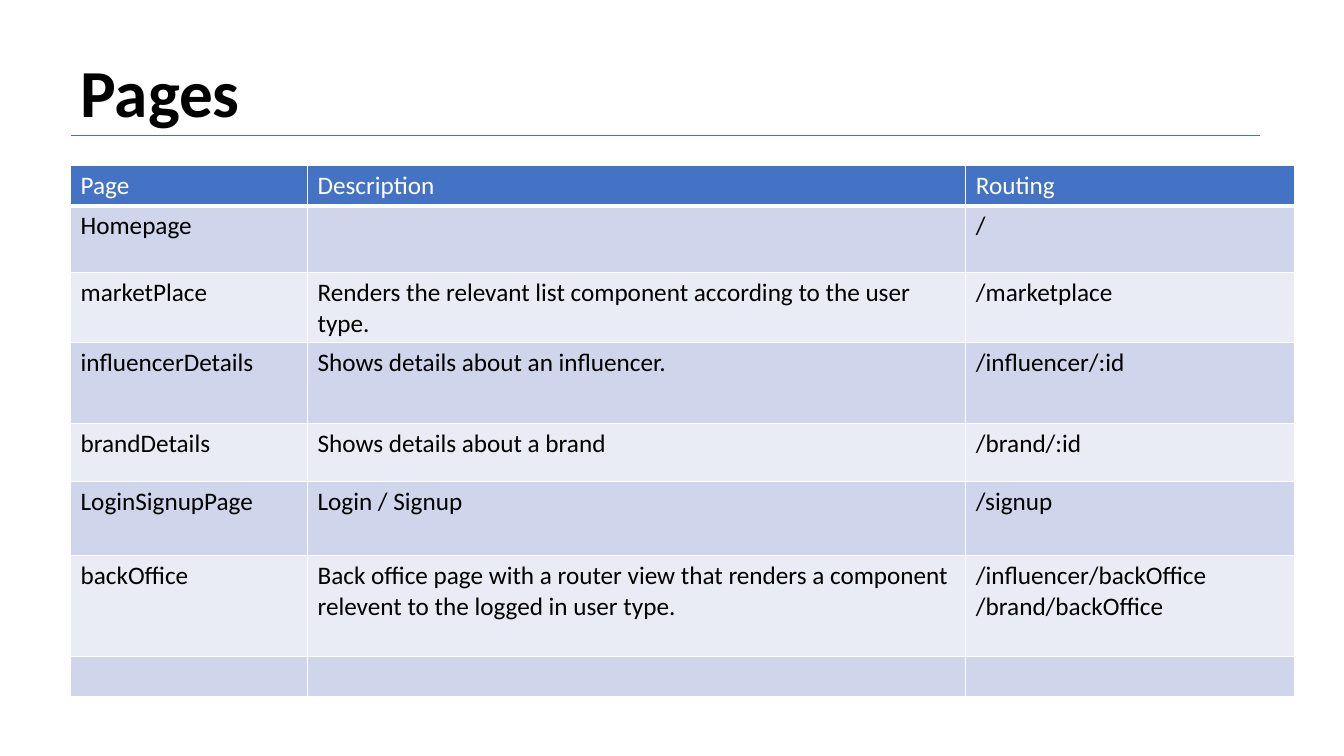
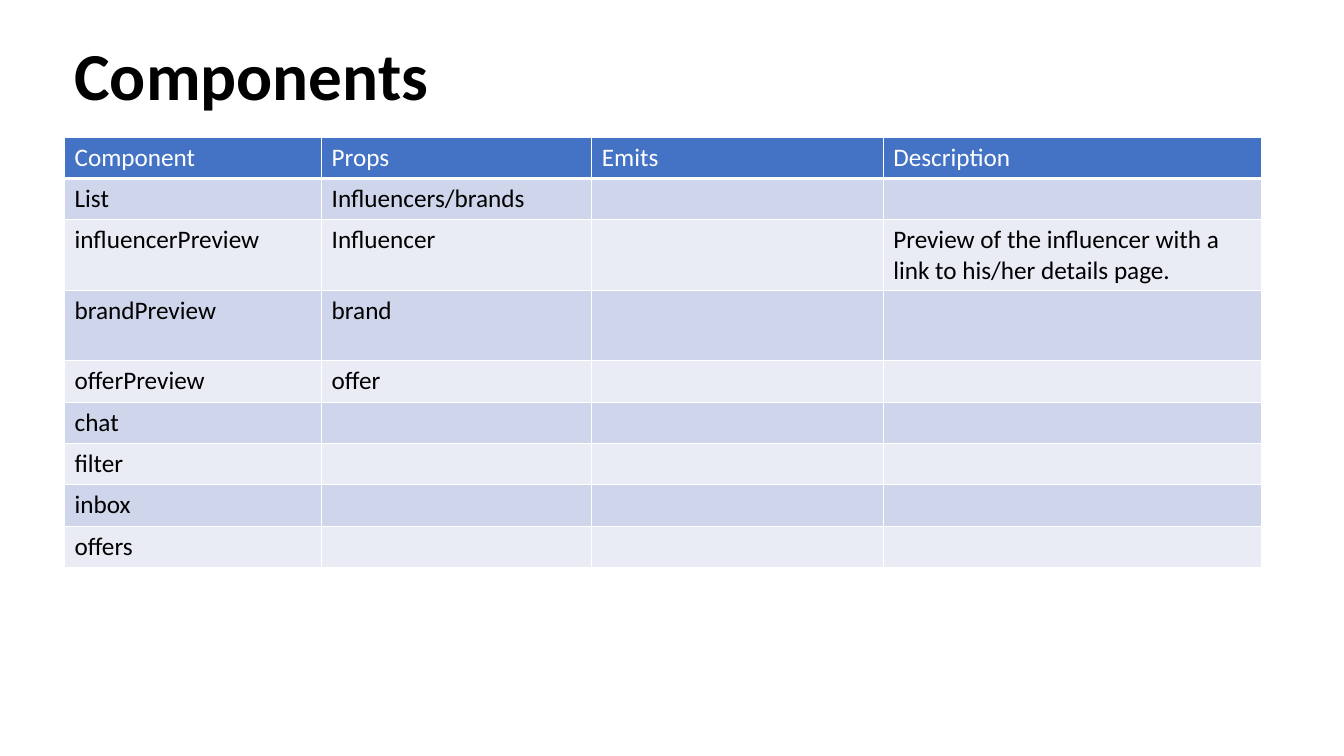
"""Build two slides that list an app's pages and components in tables."""
from lxml import etree
from pptx import Presentation
from pptx.dml.color import RGBColor
from pptx.enum.shapes import MSO_CONNECTOR
from pptx.oxml.ns import qn
from pptx.util import Inches, Pt

LINE = MSO_CONNECTOR.STRAIGHT
THEME = {
    "head": "4472C4", "bands": ("E9EBF5", "CFD5EA"), "edge": "FFFFFF",
    "rule": "4472C4", "thin": 0.5, "grid": 1, "thick": 3,
    "title": {"name": "Calibri", "size": Pt(48), "bold": True, "color": "000000"},
    "label": {"name": "Calibri", "size": Pt(18), "bold": False, "color": "FFFFFF"},
    "body": {"name": "Calibri", "size": Pt(18), "bold": False, "color": "000000"},
}
TITLE_W, TITLE_H = 11.8, 0.91
ROW = 0.41

PAGES = [
    ("Page", "Description", "Routing"),
    ("Homepage", "", "/"),
    ("marketPlace",
     "Renders the relevant list component according to the user type.",
     "/marketplace"),
    ("influencerDetails", "Shows details about an influencer.", "/influencer/:id"),
    ("brandDetails", "Shows details about a brand", "/brand/:id"),
    ("LoginSignupPage", "Login / Signup", "/signup"),
    ("backOffice",
     "Back office page with a router view that renders a component "
     "relevent to the logged in user type.",
     "/influencer/backOffice\n/brand/backOffice"),
    ("", "", ""),
]
PARTS = [
    ("Component", "Props", "Emits", "Description"),
    ("List", "Influencers/brands", "", ""),
    ("influencerPreview", "Influencer", "",
     "Preview of the influencer with a link to his/her details page."),
    ("brandPreview", "brand", "", ""),
    ("offerPreview", "offer", "", ""),
    *[(name, "", "", "") for name in ("chat", "filter", "inbox", "offers")],
]
SLIDES = [
    {"title": "Pages", "left": 0.7, "top": 0.45, "rule": 1.34, "table": 1.64,
     "cols": (2.35, 6.53, 3.26), "cells": PAGES,
     "rows": (0.4, 0.66, 0.7, 0.8, 0.58, 0.73, 1, 0.4)},
    {"title": "Components", "left": 0.64, "top": 0.28, "rule": None, "table": 1.36,
     "cols": (2.55, 2.68, 2.89, 3.75), "cells": PARTS,
     "rows": (ROW, ROW, 0.7, 0.7, *[ROW] * 5)},
]


def write(frame, text, style):
    """Fill a text frame, one paragraph a line, in a theme style."""
    frame.text = text
    for para in frame.paragraphs:
        for key, value in THEME[style].items():
            if key == "color":
                para.font.color.rgb = RGBColor.from_string(value)
                for run in para.runs:
                    run.font.color.rgb = RGBColor.from_string(value)
            else:
                setattr(para.font, key, value)
                for run in para.runs:
                    setattr(run.font, key, value)


def dress(cell, fill, base):
    """Give a cell its borders and fill."""
    props = cell._tc.get_or_add_tcPr()
    for side in "LRTB":
        width = base if side == "B" else THEME["grid"]
        edge = etree.SubElement(props, qn(f"a:ln{side}"), w=str(Pt(width)))
        paint = etree.SubElement(edge, qn("a:solidFill"))
        etree.SubElement(paint, qn("a:srgbClr"), val=THEME["edge"])
    cell.fill.solid()
    cell.fill.fore_color.rgb = RGBColor.from_string(fill)


deck = Presentation()
deck.slide_width, deck.slide_height = Inches(13.33), Inches(7.5)

for page in SLIDES:
    slide = deck.slides.add_slide(deck.slide_layouts[6])
    left = Inches(page["left"])
    title = slide.shapes.add_textbox(
        left, Inches(page["top"]), Inches(TITLE_W), Inches(TITLE_H))
    title.text_frame.word_wrap = True
    write(title.text_frame, page["title"], "title")

    if page["rule"]:
        high = Inches(page["rule"])
        rule = slide.shapes.add_connector(
            LINE, left, high, left + Inches(TITLE_W), high)
        rule.line.color.rgb = RGBColor.from_string(THEME["rule"])
        rule.line.width = Pt(THEME["thin"])
        etree.SubElement(rule._element.spPr, qn("a:effectLst"))

    cols, rows = page["cols"], page["rows"]
    table = slide.shapes.add_table(
        len(rows), len(cols), left, Inches(page["table"]),
        Inches(sum(cols)), Inches(sum(rows))).table
    for col, width in zip(table.columns, cols):
        col.width = Inches(width)
    for r, (row, height) in enumerate(zip(table.rows, rows)):
        row.height = Inches(height)
        fill = THEME["bands"][r % 2] if r else THEME["head"]
        base = THEME["grid"] if r else THEME["thick"]
        for cell, text in zip(row.cells, page["cells"][r]):
            write(cell.text_frame, text, "body" if r else "label")
            dress(cell, fill, base)

deck.save("out.pptx")
